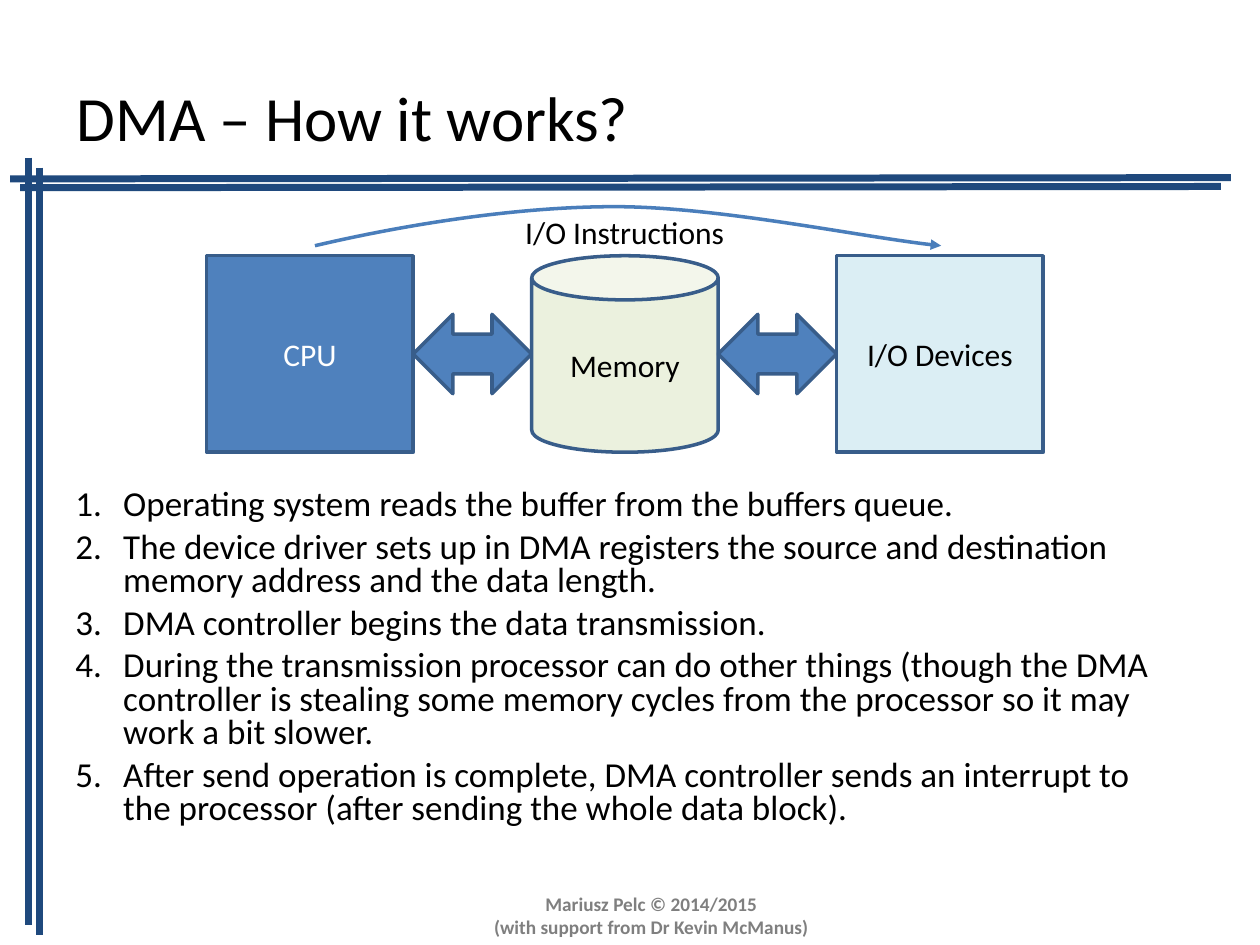
from dataclasses import dataclass
from typing import Any

from lxml.etree import SubElement
from pptx import Presentation
from pptx.dml.color import RGBColor
from pptx.enum.shapes import MSO_CONNECTOR, MSO_SHAPE
from pptx.enum.text import MSO_ANCHOR, PP_ALIGN
from pptx.oxml.ns import qn
from pptx.util import Inches, Pt

COLORS = {
    "text": "000000", "light": "FFFFFF", "footer": "7F7F7F",
    "rule": "1F497D", "outline": "385D8A", "curve": "4A7EBB",
    "blue": "4F81BD", "green": "EBF1DE", "aqua": "DBEEF4",
}
RULES = [
    (0.23, 1.25, 0.23, 7.34), (0.31, 1.33, 0.31, 7.42),
    (0.08, 1.42, 9.77, 1.41), (0.16, 1.49, 9.69, 1.48),
]
STEPS = [
    "Operating system reads the buffer from the buffers queue.",
    "The device driver sets up in DMA registers the source and destination "
    "memory address and the data length.",
    "DMA controller begins the data transmission.",
    "During the transmission processor can do other things (though the DMA "
    "controller is stealing some memory cycles from the processor so it may "
    "work a bit slower.",
    "After send operation is complete, DMA controller sends an interrupt to "
    "the processor (after sending the whole data block).",
]
FOOTER = ["Mariusz Pelc © 2014/2015", "(with support from Dr Kevin McManus)"]
UNIT_TOP, UNIT_HEIGHT = 2.03, 1.56
UNITS = [
    ("CPU", MSO_SHAPE.RECTANGLE, 1.64, 1.64, "blue", "light"),
    ("Memory", MSO_SHAPE.CAN, 4.22, 1.48, "green", "text"),
    ("I/O Devices", MSO_SHAPE.RECTANGLE, 6.64, 1.64, "aqua", "text"),
]
BUS_HEIGHT = 0.63
INSTRUCTION_CURVE = [
    (2.5, 1.95), (3.14, 1.8), (4.05, 1.64), (4.88, 1.64),
    (5.7, 1.64), (6.93, 1.9), (7.47, 1.95),
]


def color(name):
    return RGBColor.from_string(COLORS[name])


def write_text(frame, lines, size=18, ink="text", bold=False, font="Calibri",
               align=PP_ALIGN.LEFT, anchor=MSO_ANCHOR.TOP, wrap=True,
               numbered=False, line_spacing=None, gap=0):
    frame.word_wrap = wrap
    frame.vertical_anchor = anchor
    for index, line in enumerate(lines):
        para = frame.add_paragraph() if index else frame.paragraphs[0]
        para.alignment = align
        if line_spacing:
            para.line_spacing = line_spacing
        if index and gap:
            para.space_before = Pt(gap)
        if numbered:
            properties = para._p.get_or_add_pPr()
            properties.set("marL", str(Inches(0.38)))
            properties.set("indent", str(-Inches(0.38)))
            SubElement(properties, qn("a:buFont"), typeface=font)
            SubElement(properties, qn("a:buAutoNum"), type="arabicPeriod")
        span = para.add_run()
        span.text = line
        span.font.name = font
        span.font.size = Pt(size)
        span.font.bold = bold
        span.font.color.rgb = color(ink)


@dataclass
class SlideBuilder:
    """Draw styled elements on the current page."""

    page: Any
    outline: str = "outline"
    outline_width: float = 2
    rule_width: float = 4

    def text(self, left, top, width, height, lines, **style):
        box = self.page.shapes.add_textbox(
            Inches(left), Inches(top), Inches(width), Inches(height))
        write_text(box.text_frame, lines, **style)

    def rule(self, *ends):
        line = self.page.shapes.add_connector(
            MSO_CONNECTOR.STRAIGHT, *(Inches(value) for value in ends))
        line.line.color.rgb = color("rule")
        line.line.width = Pt(self.rule_width)
        SubElement(line._element.spPr, qn("a:effectLst"))

    def shape(self, kind, left, top, width, height, fill):
        shape = self.page.shapes.add_shape(
            kind, Inches(left), Inches(top), Inches(width), Inches(height))
        shape.shadow.inherit = False
        shape.fill.solid()
        shape.fill.fore_color.rgb = color(fill)
        shape.line.color.rgb = color(self.outline)
        shape.line.width = Pt(self.outline_width)
        return shape

    def curved_arrow(self, points):
        start, *rest = [(Inches(x), Inches(y)) for x, y in points]
        builder = self.page.shapes.build_freeform(*start)
        builder.add_line_segments(rest, close=False)
        curve = builder.convert_to_shape()
        curve.shadow.inherit = False
        curve.fill.background()
        curve.line.color.rgb = color("curve")
        curve.line.width = Pt(self.outline_width)
        SubElement(curve.line._get_or_add_ln(), qn("a:tailEnd"), type="triangle")
        outline = next(curve._element.iter(qn("a:path")))
        segments = outline.findall(qn("a:lnTo"))
        for first in range(0, len(segments), 3):
            bezier = SubElement(outline, qn("a:cubicBezTo"))
            for segment in segments[first:first + 3]:
                bezier.append(segment[0])
                outline.remove(segment)


def main():
    deck = Presentation()
    deck.slide_width, deck.slide_height = Inches(10), Inches(7.5)
    page = deck.slides.add_slide(deck.slide_layouts[6])
    draw = SlideBuilder(page)

    for ends in RULES:
        draw.rule(*ends)
    draw.text(0.51, 0.3, 7.66, 1.25, ["DMA – How it works?"], size=36,
              anchor=MSO_ANCHOR.MIDDLE)
    draw.text(0.5, 3.84, 9, 2.86, STEPS, size=20, numbered=True,
              line_spacing=0.8, gap=5)

    for label, kind, left, width, fill, ink in UNITS:
        unit = draw.shape(kind, left, UNIT_TOP, width, UNIT_HEIGHT, fill)
        if kind == MSO_SHAPE.CAN:
            unit.adjustments[0] = 0.237
        write_text(unit.text_frame, [label], ink=ink, align=PP_ALIGN.CENTER,
                   anchor=MSO_ANCHOR.MIDDLE)

    bus_top = UNIT_TOP + (UNIT_HEIGHT - BUS_HEIGHT) / 2
    for unit, neighbour in zip(UNITS, UNITS[1:]):
        left = unit[2] + unit[3]
        draw.shape(MSO_SHAPE.LEFT_RIGHT_ARROW, left, bus_top,
                   neighbour[2] - left, BUS_HEIGHT, "blue")

    draw.curved_arrow(INSTRUCTION_CURVE)
    draw.text(4.07, 1.64, 1.78, 0.4, ["I/O Instructions"], wrap=False)
    draw.text(3.82, 7.03, 2.7, 0.47, FOOTER, size=11, ink="footer", bold=True,
              align=PP_ALIGN.CENTER, wrap=False)
    deck.save("out.pptx")


if __name__ == "__main__":
    main()
